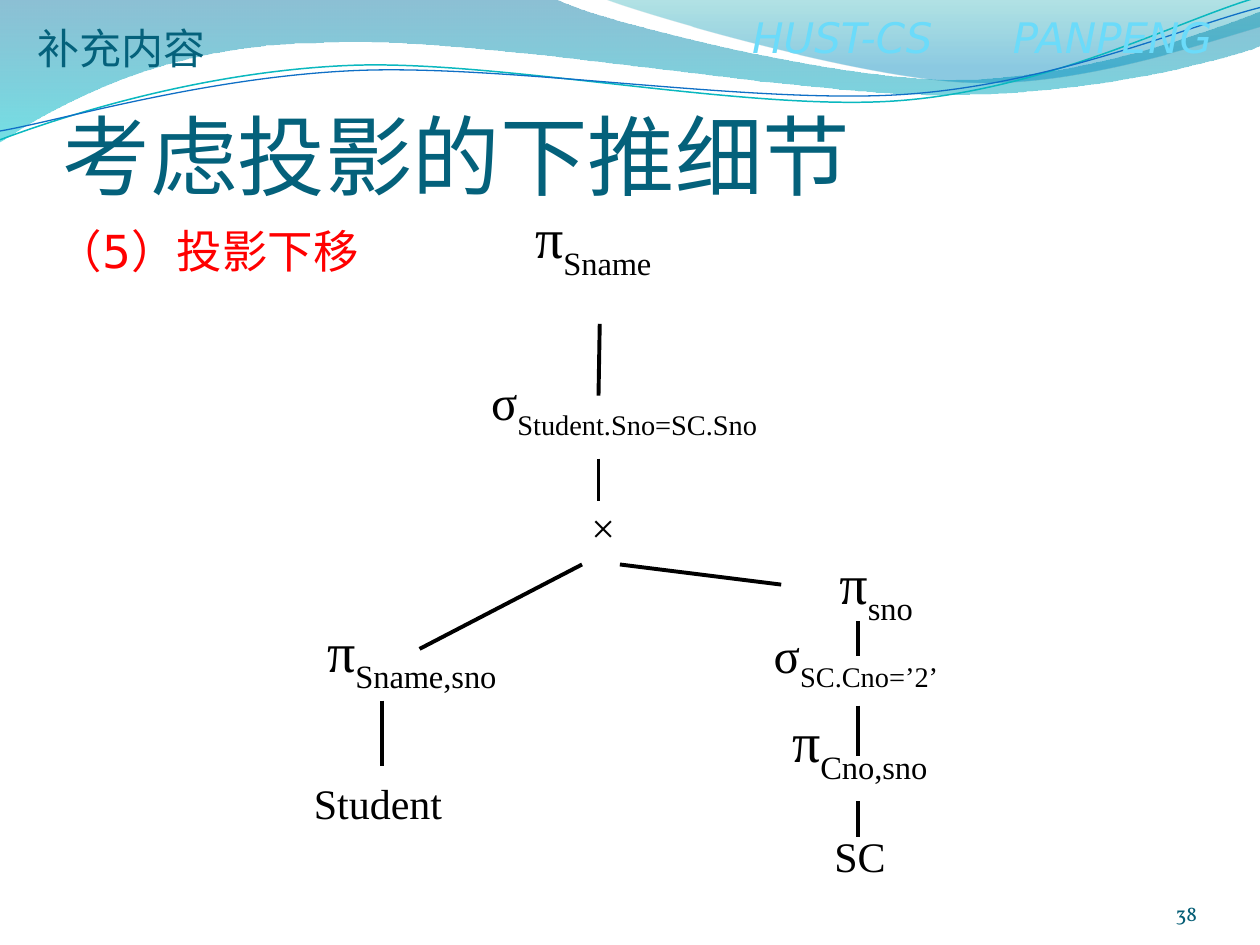
from lxml import etree
from pptx import Presentation
from pptx import util as u
from pptx.dml.color import RGBColor
from pptx.enum import shapes, text
from pptx.oxml import ns

BLACK = RGBColor(0x00, 0x00, 0x00)
RED = RGBColor(0xFF, 0x00, 0x00)
TEAL = RGBColor(0x04, 0x61, 0x7B)
NUMBER = RGBColor(0x04, 0x5D, 0x75)
SKY = RGBColor(0x6B, 0xDB, 0xFA)
CYAN_LINE = RGBColor(0x0A, 0xB8, 0xBF)
BLUE_LINE = RGBColor(0x0F, 0x6F, 0xC6)

CJK = "Noto Sans CJK SC"
SERIF = "Times New Roman"

BANDS = [
    ([(0, -0.01), (4.4, -0.01), (4.76, 0.17, 6.64, 0.63, 7.58, 0.63),
      (8.53, 0.63, 9.58, 0.26, 10, 0.09), (10.01, 0.36),
      (9.83, 0.44, 8.7, 0.76, 7.46, 0.75), (6.22, 0.75, 3.82, 0.28, 2.57, 0.34),
      (1.29, 0.35, 0.46, 0.83, -0.01, 1.13), (0, -0.01)],
     [(0, RGBColor(0x00, 0x74, 0xA1), 45), (1, RGBColor(0x00, 0xC6, 0xCF), 55)]),
    ([(4.79, -0.01), (5.09, 0.11, 6.82, 0.62, 7.69, 0.65),
      (8.56, 0.69, 9.61, 0.32, 10, 0.21), (10, 0), (4.79, -0.01)],
     [(0, RGBColor(0x00, 0xA1, 0xA9), 30), (0.8, RGBColor(0x00, 0x8B, 0xBF), 45)]),
]
WAVES = [
    ([(0, 1.11), (0.48, 0.93, 1.58, 0.57, 2.77, 0.52),
      (3.95, 0.47, 5.93, 0.89, 7.13, 0.8), (8.33, 0.71, 9.38, 0.15, 9.98, -0.02)],
     CYAN_LINE, 0.85),
    ([(0, 1.04), (0.47, 0.96, 1.64, 0.61, 2.83, 0.56),
      (4.03, 0.51, 5.97, 0.83, 7.17, 0.75), (8.36, 0.67, 9.41, 0.21, 10, 0.06)],
     BLUE_LINE, 0.75),
]

OPERATORS = [
    ((4, 1.55, 1.5, 0.75), "π", 32, "Sname"),
    ((3.58, 2.89, 2.83, 0.67), "σ", 28, "Student.Sno=SC.Sno"),
    ((2.56, 4.83, 1.5, 0.75), "π", 32, "Sname,sno"),
    ((6.19, 4.51, 1.61, 0.31), "π", 32, "sno"),
    ((5.67, 4.98, 2.33, 0.5), "σ", 28, "SC.Cno=’2’"),
    ((6.06, 5.83, 1.61, 0.18), "π", 32, "Cno,sno"),
]
LEAVES = [
    ((4.33, 3.89, 1, 0.58), "× "),
    ((2.5, 6.08, 1, 0.58), "Student"),
    ((6.2, 6.46, 1.25, 0.67), "SC"),
]
BRANCHES = [
    (4.76, 2.57, 4.75, 3.14), (4.75, 3.64, 4.75, 3.98),
    (4.62, 4.48, 3.33, 5.15), (4.92, 4.48, 6.2, 4.64),
    (3.03, 5.56, 3.03, 6.08), (6.81, 4.93, 6.81, 5.21),
    (6.81, 5.6, 6.81, 6), (6.81, 6.36, 6.81, 6.64),
]


def add_outline(s, outline, close):
    anchors = [(u.Inches(seg[-2]), u.Inches(seg[-1])) for seg in outline]
    builder = s.shapes.build_freeform(*anchors[0])
    builder.add_line_segments(anchors[1:], close=close)
    sp = builder.convert_to_shape()
    sp.shadow.inherit = False
    lines = list(sp._element.iter(ns.qn("a:lnTo")))
    for line, seg in zip(lines, outline[1:]):
        if len(seg) == 6:
            curve = etree.Element(ns.qn("a:cubicBezTo"))
            for x, y in zip(seg[::2], seg[1::2]):
                etree.SubElement(curve, ns.qn("a:pt"), x=str(u.Inches(x) - sp.left),
                                 y=str(u.Inches(y) - sp.top))
            line.getparent().replace(line, curve)
    return sp


def add_band(s, outline, stops):
    sp = add_outline(s, outline, True)
    sp.line.fill.background()
    sp.fill.gradient()
    sp.fill.gradient_angle = 270
    for stop, (position, color, _) in zip(sp.fill.gradient_stops, stops):
        stop.position = position
        stop.color.rgb = color
    colors = list(sp._element.spPr.iter(ns.qn("a:srgbClr")))
    for element, (_, _, alpha) in zip(colors, stops):
        etree.SubElement(element, ns.qn("a:alpha")).set("val", str(alpha * 1000))


def add_wave(s, outline, color, width):
    sp = add_outline(s, outline, False)
    sp.fill.background()
    sp.line.color.rgb = color
    sp.line.width = u.Pt(width)


def fill_text(sp, runs, font, color, align="LEFT", anchor="TOP", wrap=False,
              insets=(0.1, 0.05, 0.1, 0.05)):
    tf = sp.text_frame
    tf.word_wrap = wrap
    tf.vertical_anchor = text.MSO_ANCHOR[anchor]
    tf.margin_left, tf.margin_top, tf.margin_right, tf.margin_bottom = map(u.Inches, insets)
    p = tf.paragraphs[0]
    p.alignment = text.PP_ALIGN[align]
    for content, size, baseline in runs:
        r = p.add_run()
        r.text = content
        r.font.size = u.Pt(size)
        r.font.name = font
        r.font.color.rgb = color
        rPr = r._r.get_or_add_rPr()
        etree.SubElement(rPr, ns.qn("a:ea")).set("typeface", CJK)
        if baseline:
            rPr.set("baseline", str(baseline * 1000))
    return p


def add_text(s, box, *args, **options):
    return fill_text(s.shapes.add_textbox(*map(u.Inches, box)), *args, **options)


def add_node(s, box, runs):
    sp = s.shapes.add_shape(shapes.MSO_SHAPE.RECTANGLE, *map(u.Inches, box))
    sp.shadow.inherit = False
    sp.fill.background()
    sp.line.fill.background()
    fill_text(sp, runs, SERIF, BLACK, "CENTER", "MIDDLE")


def add_branch(s, ends):
    line = s.shapes.add_connector(shapes.MSO_CONNECTOR.STRAIGHT, *map(u.Inches, ends))
    line.line.color.rgb = BLACK
    line.line.width = u.Pt(2.25)
    etree.SubElement(line._element.spPr, ns.qn("a:effectLst"))


def main():
    prs = Presentation()
    prs.slide_width, prs.slide_height = u.Inches(10), u.Inches(7.5)
    s = prs.slides.add_slide(prs.slide_layouts[6])

    for outline, stops in BANDS:
        add_band(s, outline, stops)
    for outline, color, width in WAVES:
        add_wave(s, outline, color, width)

    p = add_text(s, (5.87, 0.04, 4.05, 0.5), [("HUST-CS\tPANPENG", 24, 0)],
                 "DejaVu Sans", SKY)
    tabs = etree.SubElement(p._p.get_or_add_pPr(), ns.qn("a:tabLst"))
    etree.SubElement(tabs, ns.qn("a:tab"), pos=str(u.Inches(2.07)), algn="l")
    p.runs[0].font.italic = True

    add_text(s, (0.5, 0.77, 9, 0.87), [("考虑投影的下推细节", 50, 0)], "Calibri", TEAL,
             anchor="BOTTOM", wrap=True, insets=(0, 0.05, 0, 0))
    add_text(s, (8.67, 6.95, 0.83, 0.4), [("38", 12, 0)], "Vollkorn", NUMBER,
             "RIGHT", "BOTTOM", True, (0, 0, 0, 0))
    add_text(s, (0.35, 1.72, 9, 0.53), [("（5）投影下移", 26, 0)], "DejaVu Sans", RED,
             wrap=True)
    add_text(s, (0.2, 0.13, 1.55, 0.5), [("补充内容", 24, 0)], CJK, TEAL)

    for box, symbol, size, subscript in OPERATORS:
        add_node(s, box, [(symbol, size, 0), (subscript, size, -30), (" ", 24, 0)])
    for box, label in LEAVES:
        add_node(s, box, [(label, 24, 0)])
    for ends in BRANCHES:
        add_branch(s, ends)

    prs.save("out.pptx")


if __name__ == "__main__":
    main()
